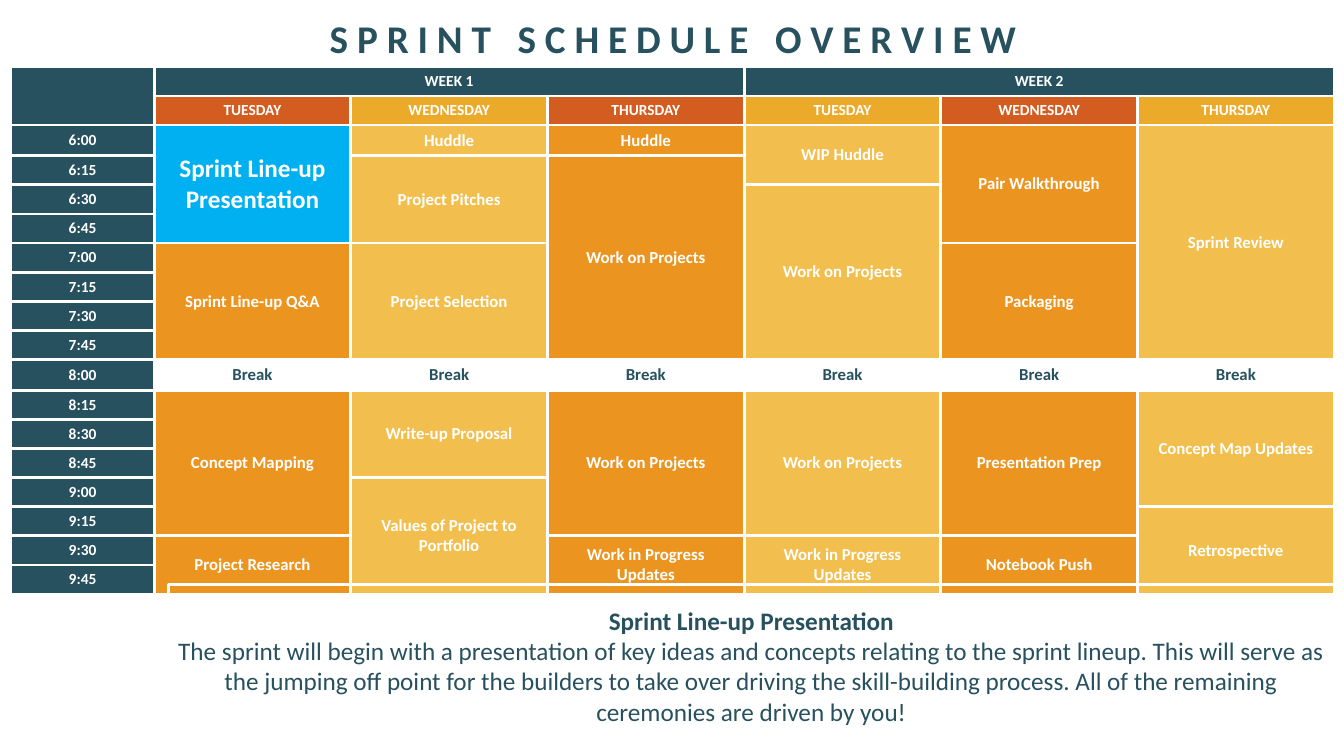
from lxml import etree
from pptx import Presentation
from pptx.dml.color import RGBColor
from pptx.enum.shapes import MSO_SHAPE as Shape
from pptx.enum.text import MSO_ANCHOR as Anchor, MSO_AUTO_SIZE as AutoSize, PP_ALIGN as Align
from pptx.oxml.ns import qn
from pptx.util import Pt

TEAL = RGBColor(0x27, 0x51, 0x5E)
WHITE = RGBColor(0xFF, 0xFF, 0xFF)
RUST = RGBColor(0xD3, 0x5C, 0x20)
AMBER = RGBColor(0xEC, 0xAA, 0x2B)
ORANGE = RGBColor(0xEB, 0x95, 0x20)
YELLOW = RGBColor(0xF2, 0xBF, 0x4E)
BLUE = RGBColor(0x00, 0xB0, 0xF0)

FONT = "Calibri"
RULE = 2.25
TIME_WIDTH, DAY_WIDTH = 102.2, 140.5
ROW_HEIGHT, DAY_ROW_HEIGHT = 20.2, 11.5
HEADER_ROWS, SLOTS = 2, 16
FIRST_HOUR = 6
WEEKS = ["WEEK 1", "WEEK 2"]
DAYS = ["TUESDAY", "WEDNESDAY", "THURSDAY"]
BREAK = ("Break", 1)
HIGHLIGHT = "Sprint Line-up Presentation"
SCHEDULE = [
    [(HIGHLIGHT, 4), ("Sprint Line-up Q&A", 4), BREAK,
     ("Concept Mapping", 5), ("Project Research", 2)],
    [("Huddle", 1), ("Project Pitches", 3), ("Project Selection", 4), BREAK,
     ("Write-up Proposal", 3), ("Values of Project to Portfolio", 4)],
    [("Huddle", 1), ("Work on Projects", 7), BREAK,
     ("Work on Projects", 5), ("Work in Progress Updates", 2)],
    [("WIP Huddle", 2), ("Work on Projects", 6), BREAK,
     ("Work on Projects", 5), ("Work in Progress Updates", 2)],
    [("Pair Walkthrough", 4), ("Packaging", 4), BREAK,
     ("Presentation Prep", 5), ("Notebook Push", 2)],
    [("Sprint Review", 8), BREAK, ("Concept Map Updates", 4), ("Retrospective", 3)],
]
SUMMARY = (
    "The sprint will begin with a presentation of key ideas and concepts relating to "
    "the sprint lineup. This will serve as the jumping off point for the builders to "
    "take over driving the skill-building process. All of the remaining ceremonies "
    "are driven by you!"
)


def write(para, text, size, color, bold=True):
    para.alignment = Align.CENTER
    span = para.add_run()
    span.text = text
    span.font.name = FONT
    span.font.size = Pt(size)
    span.font.bold = bold
    span.font.color.rgb = color


def add_borders(cell):
    properties = cell._tc.get_or_add_tcPr()
    for side in ("a:lnL", "a:lnR", "a:lnT", "a:lnB"):
        line = etree.SubElement(properties, qn(side), w=str(Pt(RULE)))
        fill = etree.SubElement(line, qn("a:solidFill"))
        etree.SubElement(fill, qn("a:srgbClr"), val=str(WHITE))


def fill_cell(cell, text, size, fill, color=WHITE):
    cell.vertical_anchor = Anchor.MIDDLE
    if fill is None:
        cell.fill.background()
    else:
        cell.fill.solid()
        cell.fill.fore_color.rgb = fill
    para = cell.text_frame.paragraphs[0]
    if text:
        write(para, text, size, color)
    else:
        para.font.size = Pt(size)


def add_header(table):
    corner = table.cell(0, 0)
    corner.merge(table.cell(1, 0))
    fill_cell(corner, "", 11, TEAL)
    for index, week in enumerate(WEEKS):
        first = 1 + index * len(DAYS)
        cell = table.cell(0, first)
        cell.merge(table.cell(0, first + len(DAYS) - 1))
        fill_cell(cell, week, 11, TEAL)
    for index, day in enumerate(DAYS * len(WEEKS)):
        fill_cell(table.cell(1, index + 1), day, 11, (RUST, AMBER)[index % 2])


def add_times(table):
    for slot in range(SLOTS):
        hour, quarter = divmod(slot, 4)
        label = f"{FIRST_HOUR + hour}:{quarter * 15:02d}"
        fill_cell(table.cell(HEADER_ROWS + slot, 0), label, 11, TEAL)


def add_day(table, column, sessions):
    row = HEADER_ROWS
    for name, length in sessions:
        cell = table.cell(row, column)
        if length > 1:
            cell.merge(table.cell(row + length - 1, column))
        if name == HIGHLIGHT:
            fill_cell(cell, name, 18, BLUE)
        elif name == "Break":
            fill_cell(cell, name, 12, None, TEAL)
        else:
            fill_cell(cell, name, 12, (YELLOW, ORANGE)[column % 2])
        row += length


def add_schedule(page, left, top, width, height):
    frame = page.shapes.add_table(
        HEADER_ROWS + SLOTS, 1 + len(SCHEDULE), Pt(left), Pt(top), Pt(width), Pt(height))
    table = frame.table
    table.first_row = False
    table.horz_banding = False
    for index, column in enumerate(table.columns):
        column.width = Pt(DAY_WIDTH if index else TIME_WIDTH)
    for index, row in enumerate(table.rows):
        row.height = Pt(DAY_ROW_HEIGHT if index == 1 else ROW_HEIGHT)
    for cell in table.iter_cells():
        add_borders(cell)
    add_header(table)
    add_times(table)
    for column, sessions in enumerate(SCHEDULE, 1):
        add_day(table, column, sessions)
    frame.height = Pt(height)


def add_summary(page, left, top, width, height):
    box = page.shapes.add_shape(Shape.RECTANGLE, Pt(left), Pt(top), Pt(width), Pt(height))
    box.shadow.inherit = False
    box.fill.background()
    box.line.color.rgb = WHITE
    box.line.width = Pt(RULE)
    frame = box.text_frame
    frame.word_wrap = True
    frame.vertical_anchor = Anchor.MIDDLE
    write(frame.paragraphs[0], HIGHLIGHT, 18, TEAL)
    write(frame.add_paragraph(), SUMMARY, 18, TEAL, bold=False)


def add_title(page, left, top, width, height):
    box = page.shapes.add_textbox(Pt(left), Pt(top), Pt(width), Pt(height))
    frame = box.text_frame
    frame.word_wrap = True
    frame.auto_size = AutoSize.SHAPE_TO_FIT_TEXT
    frame.vertical_anchor = Anchor.MIDDLE
    write(frame.paragraphs[0], " ".join("SPRINT SCHEDULE OVERVIEW"), 28, TEAL)


def main():
    deck = Presentation()
    deck.slide_width, deck.slide_height = Pt(960), Pt(540)
    page = deck.slides.add_slide(deck.slide_layouts[6])
    add_schedule(page, 7.9, 47.7, 945.2, 369.4)
    add_summary(page, 120.2, 417.6, 833, 115.9)
    add_title(page, 7.9, 6.5, 945.2, 41.2)
    deck.save("out.pptx")


if __name__ == "__main__":
    main()
